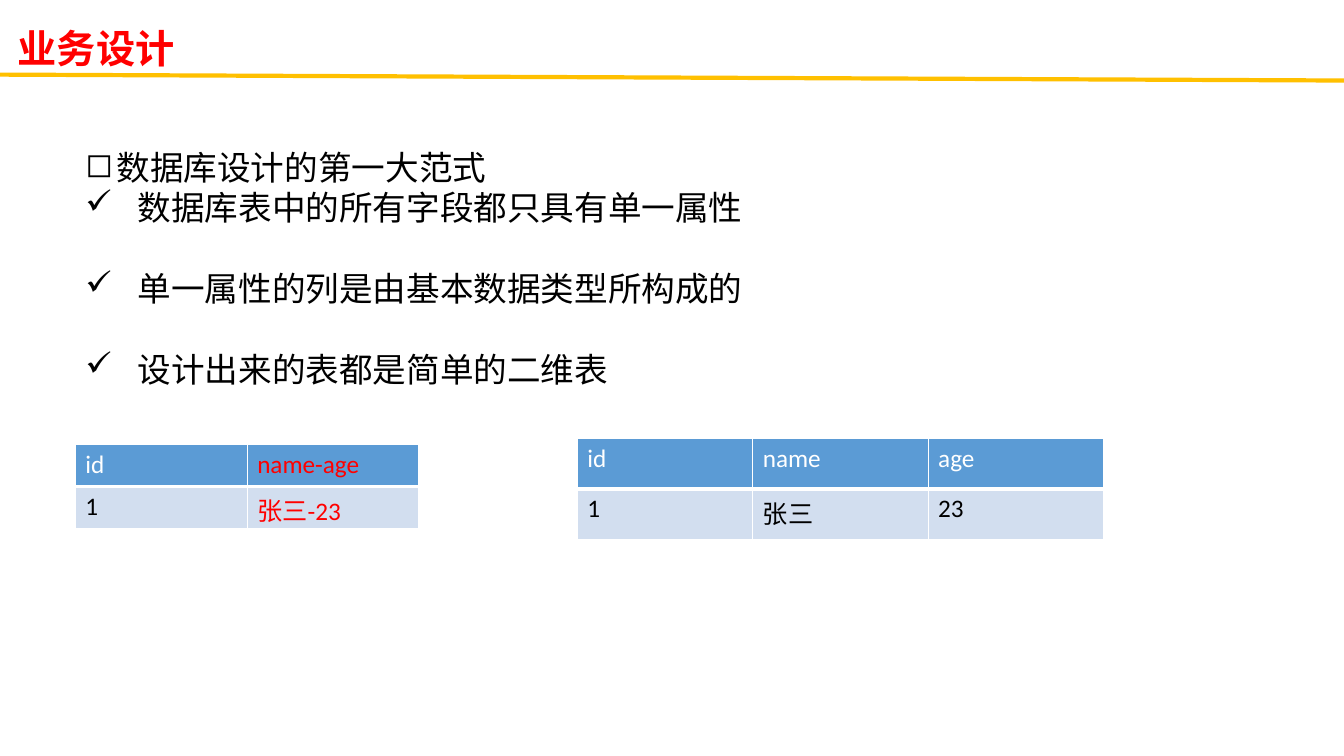
"""Builds the slide on the first normal form of database design."""
import pptx
import pptx.dml.color
import pptx.enum.shapes
import pptx.enum.text
import pptx.oxml
import pptx.oxml.ns
import pptx.util
from lxml import etree
from pptx.util import Cm

RED, WHITE, BLACK = "FF0000", "FFFFFF", "000000"
GOLD, HEADER_BLUE, BODY_BLUE = "FFC000", "5B9BD5", "D2DEEF"


def color(value):
    return pptx.dml.color.RGBColor.from_string(value)


def add_xml(parent, tag, **attributes):
    return etree.SubElement(parent, pptx.oxml.ns.qn(tag), attributes)


class DesignPage:
    font = "Calibri"
    title_font = "Times New Roman"

    def __init__(self, deck):
        self.page = deck.slides.add_slide(deck.slide_layouts[6])

    def style(self, para, size, shade, font=None, bold=False):
        for span in para.runs:
            span.font.name = font or self.font
            span.font.size = pptx.util.Pt(size)
            span.font.bold = bold
            span.font.color.rgb = color(shade)

    def rule(self, left, top, right, bottom):
        line = self.page.shapes.add_connector(
            pptx.enum.shapes.MSO_CONNECTOR.STRAIGHT,
            Cm(left), Cm(top), Cm(right), Cm(bottom))
        line.line.color.rgb = color(GOLD)
        line.line.width = pptx.util.Pt(3)
        add_xml(line._element.spPr, "a:effectLst")

    def text_box(self, left, top, width, height, wrap=True):
        box = self.page.shapes.add_textbox(Cm(left), Cm(top), Cm(width), Cm(height))
        box.text_frame.word_wrap = wrap
        box.text_frame.auto_size = pptx.enum.text.MSO_AUTO_SIZE.SHAPE_TO_FIT_TEXT
        return box.text_frame

    def title(self, text, left, top, width, height):
        para = self.text_box(left, top, width, height, wrap=False).paragraphs[0]
        para.text = text
        self.style(para, 28, RED, self.title_font, bold=True)

    def bullets(self, items, left, top, width, height):
        frame = self.text_box(left, top, width, height)
        frame.text = "\n".join(text for text, *_ in items)
        for para, (_, mark, indent, gap) in zip(frame.paragraphs, items):
            self.style(para, 24, BLACK)
            para.space_before = pptx.util.Pt(gap)
            properties = para._p.get_or_add_pPr()
            properties.set("marL", str(Cm(indent)))
            properties.set("indent", str(-Cm(indent)))
            add_xml(properties, "a:buChar", char=mark)

    def borders(self, cell, bottom):
        properties = cell._tc.get_or_add_tcPr()
        for side, width in (("L", 1), ("R", 1), ("T", 1), ("B", bottom)):
            edge = add_xml(properties, f"a:ln{side}", w=str(pptx.util.Pt(width)))
            add_xml(add_xml(edge, "a:solidFill"), "a:srgbClr", val=WHITE)

    def table(self, rows, left, top, width, height, marked=()):
        grid = self.page.shapes.add_table(
            len(rows), len(rows[0]), Cm(left), Cm(top), Cm(width), Cm(height)).table
        for r, row in enumerate(rows):
            fill, ink, bottom = (BODY_BLUE, BLACK, 1) if r else (HEADER_BLUE, WHITE, 3)
            for c, text in enumerate(row):
                cell = grid.cell(r, c)
                cell.text = text
                self.style(cell.text_frame.paragraphs[0], 18, RED if c in marked else ink)
                self.borders(cell, bottom)
                cell.fill.solid()
                cell.fill.fore_color.rgb = color(fill)


def main():
    deck = pptx.Presentation()
    deck.slide_width, deck.slide_height = Cm(33.87), Cm(19.05)
    design = DesignPage(deck)
    design.rule(0, 1.88, 33.87, 2.03)
    design.title("业务设计", 0.2, 0.48, 4.52, 1.45)
    design.bullets([
        ("数据库设计的第一大范式", "◻", 0.79, 0),
        ("数据库表中的所有字段都只具有单一属性", "✓", 1.32, 0),
        ("单一属性的列是由基本数据类型所构成的", "✓", 1.32, 29),
        ("设计出来的表都是简单的二维表", "✓", 1.32, 29),
    ], 1.9, 3.58, 27, 7.19)
    design.table([("id", "name-age"), ("1", "张三-23")],
                 1.9, 11.2, 8.66, 2.12, marked=(1,))
    design.table([("id", "name", "age"), ("1", "张三", "23")],
                 14.55, 11.05, 13.26, 2.54)
    deck.save("out.pptx")


if __name__ == "__main__":
    main()
